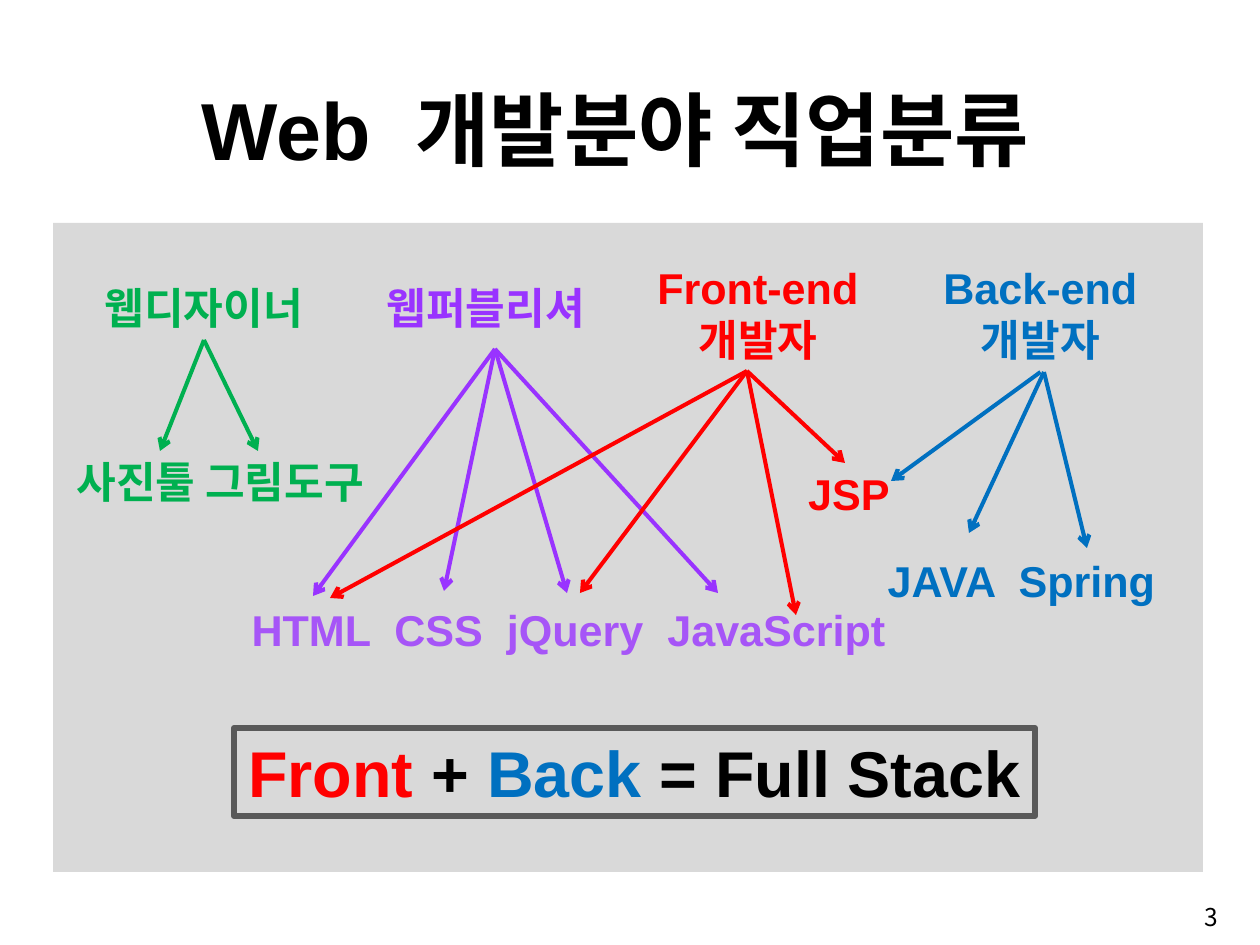
from dataclasses import dataclass

import pptx
import pptx.dml.color
import pptx.enum.shapes
import pptx.enum.text
import pptx.oxml
import pptx.oxml.ns
import pptx.slide
import pptx.util

PX = 914400 / 97
COLORS = {
    "black": "000000", "panel": "D9D9D9", "border": "595959",
    "green": "00B050", "purple": "9933FF", "lilac": "A655F7",
    "red": "FF0000", "blue": "0070C0",
}
HANGUL_FONT = "Noto Sans CJK KR"
ALIGN = pptx.enum.text.PP_ALIGN
ANCHOR = pptx.enum.text.MSO_ANCHOR
FIT = pptx.enum.text.MSO_AUTO_SIZE
RECTANGLE = pptx.enum.shapes.MSO_SHAPE.RECTANGLE
STRAIGHT = pptx.enum.shapes.MSO_CONNECTOR.STRAIGHT
BOTTOM = 2


@dataclass
class Label:
    """Each paragraph is a list of (text, colour name) runs."""
    box: tuple[int, int, int, int]
    paragraphs: list[list[tuple[str, str]]]
    size: float = 32
    align: ALIGN = ALIGN.LEFT
    font: str = "Arial"
    bold: bool = True
    wrap: bool = False
    anchor: ANCHOR = ANCHOR.TOP
    fit: FIT = FIT.SHAPE_TO_FIT_TEXT


@dataclass
class Fan:
    """Arrows from one job to the skills it needs."""
    color: str
    start: tuple[int, int]
    ends: list[tuple[int, int]]


def px(length: int) -> int:
    return round(length * PX)


def rgb(name: str) -> pptx.dml.color.RGBColor:
    return pptx.dml.color.RGBColor.from_string(COLORS[name])


def write(shape, label: Label) -> None:
    frame = shape.text_frame
    frame_format = {"word_wrap": label.wrap, "auto_size": label.fit,
                    "vertical_anchor": label.anchor}
    for attribute, value in frame_format.items():
        setattr(frame, attribute, value)
    for index, runs in enumerate(label.paragraphs):
        paragraph = frame.add_paragraph() if index else frame.paragraphs[0]
        paragraph.alignment = label.align
        for text, color in runs:
            run = paragraph.add_run()
            run.text = text
            font_format = {"name": label.font, "bold": label.bold,
                           "size": pptx.util.Pt(label.size)}
            for attribute, value in font_format.items():
                setattr(run.font, attribute, value)
            run.font.color.rgb = rgb(color)
            east_asian = pptx.oxml.parse_xml(
                f'<a:ea {pptx.oxml.ns.nsdecls("a")} typeface="{HANGUL_FONT}"/>')
            run.font._element.find(pptx.oxml.ns.qn("a:latin")).addnext(east_asian)


def add_label(slide: pptx.slide.Slide, label: Label):
    shape = slide.shapes.add_textbox(*map(px, label.box))
    write(shape, label)
    return shape


def add_rectangle(slide: pptx.slide.Slide, box: tuple[int, int, int, int]):
    shape = slide.shapes.add_shape(RECTANGLE, *map(px, box))
    shape.shadow.inherit = False
    return shape


def add_fan(slide: pptx.slide.Slide, fan: Fan, job=None) -> None:
    """Draw the arrows, joined to the bottom of the job label if one is given."""
    for end in fan.ends:
        arrow = slide.shapes.add_connector(STRAIGHT, *map(px, fan.start + end))
        arrow.line.color.rgb = rgb(fan.color)
        arrow.line.width = pptx.util.Pt(3)
        namespace = pptx.oxml.ns.nsdecls("a")
        arrow.line._get_or_add_ln().append(
            pptx.oxml.parse_xml(f'<a:tailEnd {namespace} type="arrow"/>'))
        arrow._element.spPr.append(pptx.oxml.parse_xml(f"<a:effectLst {namespace}/>"))
        if job is not None:
            arrow.begin_connect(job, BOTTOM)


TITLE = Label((192, 75, 885, 108), [[("Web  개발분야 직업분류", "black")]], size=60)
BACK_END = Label((933, 257, 215, 115), [[("Back-end", "blue")], [("개발자", "blue")]],
                 align=ALIGN.CENTER)
LABELS = [
    Label((95, 277, 238, 62), [[("웹디자이너", "green")]]),
    Label((377, 277, 238, 62), [[("웹퍼블리셔", "purple")]]),
    Label((647, 257, 222, 115), [[("Front-end", "red")], [("개발자", "red")]],
          align=ALIGN.CENTER),
    Label((67, 451, 337, 62), [[("사진툴 그림도구", "green")]]),
    Label((242, 599, 660, 62), [[("HTML  CSS  jQuery  JavaScript", "lilac")]]),
    Label((798, 463, 102, 62), [[("JSP", "red")]], align=ALIGN.CENTER),
    Label((877, 550, 289, 62), [[("JAVA  Spring", "blue")]], align=ALIGN.CENTER),
]
FANS = [
    Fan("green", (204, 340), [(160, 451), (258, 451)]),
    Fan("purple", (495, 349), [(313, 596), (444, 591), (567, 593), (718, 593)]),
    Fan("blue", (1044, 372), [(969, 533), (1087, 548)]),
    Fan("red", (747, 371), [(330, 598), (580, 593), (796, 615), (845, 463)]),
]
BACK_END_TO_JSP = Fan("blue", (1041, 372), [(891, 481)])
FULL_STACK = Label(
    (234, 728, 801, 88),
    [[("Front ", "red"), ("+ ", "black"), ("Back ", "blue"), ("= Full Stack", "black")]],
    size=48, align=ALIGN.CENTER)
PAGE_NUMBER = Label((968, 888, 260, 58), [[("3", "black")]], size=18.2,
                    align=ALIGN.RIGHT, font=HANGUL_FONT, bold=False, wrap=True,
                    anchor=ANCHOR.MIDDLE, fit=FIT.NONE)


def main() -> None:
    deck = pptx.Presentation()
    deck.slide_width, deck.slide_height = px(1260), px(945)
    slide = deck.slides.add_slide(deck.slide_layouts[6])

    add_label(slide, TITLE)
    panel = add_rectangle(slide, (53, 223, 1150, 649))
    panel.fill.solid()
    panel.fill.fore_color.rgb = rgb("panel")
    panel.line.fill.background()

    for label in LABELS:
        add_label(slide, label)
    back_end = add_label(slide, BACK_END)
    for fan in FANS:
        add_fan(slide, fan)

    full_stack = add_rectangle(slide, FULL_STACK.box)
    full_stack.fill.background()
    full_stack.line.color.rgb = rgb("border")
    full_stack.line.width = pptx.util.Pt(4.5)
    write(full_stack, FULL_STACK)

    add_fan(slide, BACK_END_TO_JSP, back_end)
    add_label(slide, PAGE_NUMBER)
    deck.save("out.pptx")


if __name__ == "__main__":
    main()
